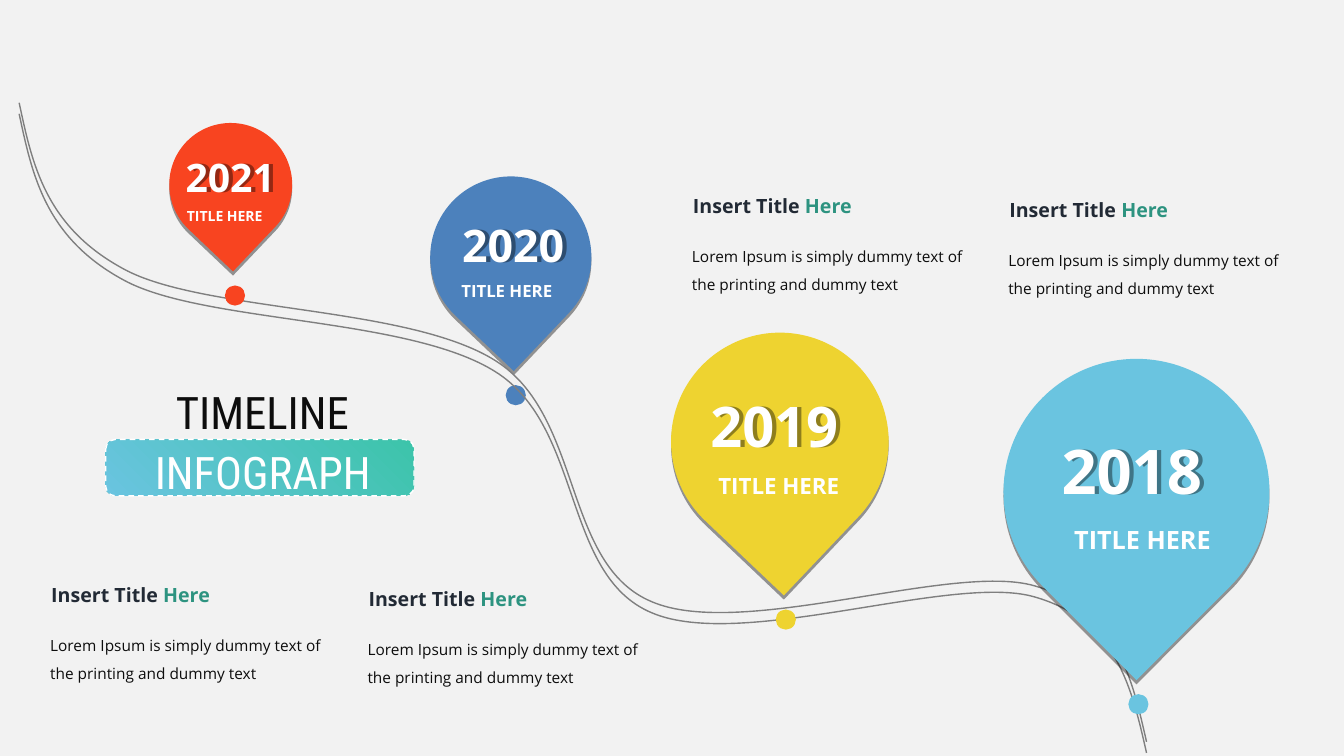
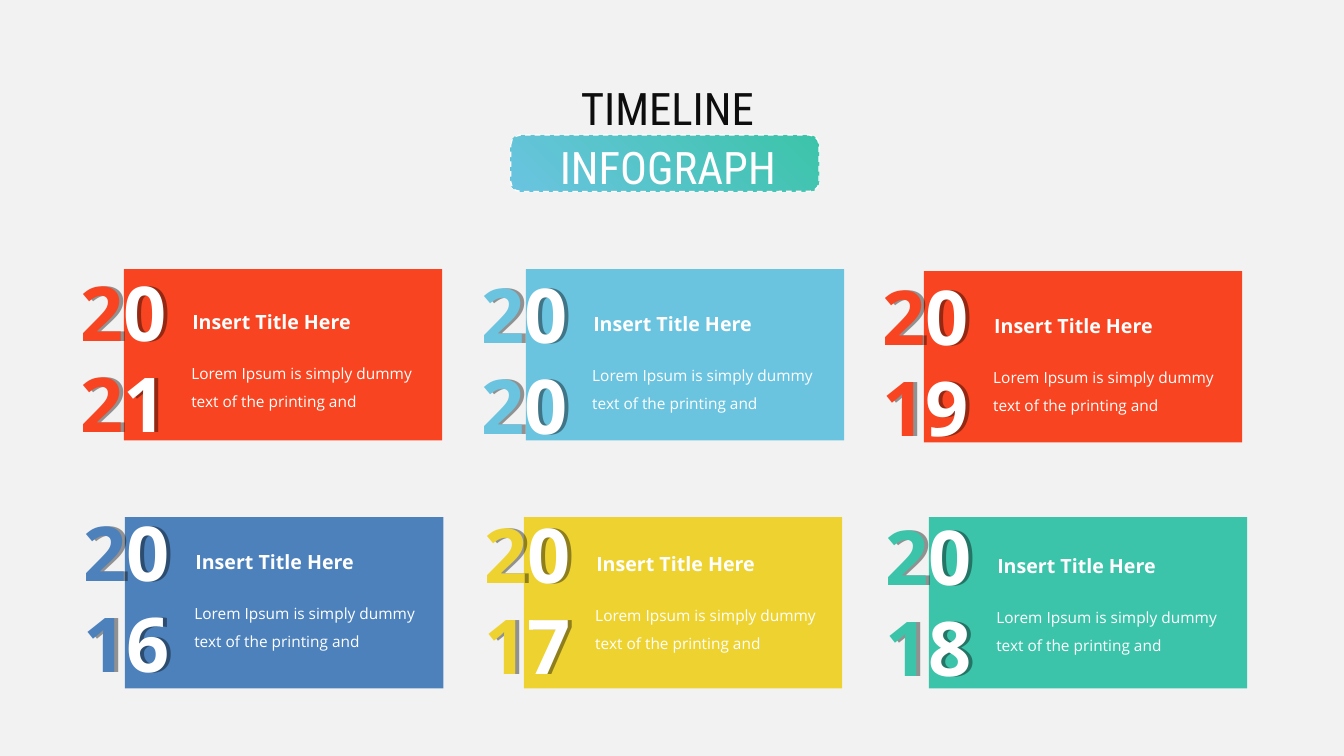
from dataclasses import dataclass
from math import cos, radians, sin, sqrt

from lxml import etree
from pptx import Presentation
from pptx.dml.color import RGBColor
from pptx.enum.dml import MSO_LINE
from pptx.enum.shapes import MSO_SHAPE
from pptx.enum.text import MSO_AUTO_SIZE, PP_ALIGN
from pptx.oxml.ns import qn
from pptx.shapes.autoshape import Shape
from pptx.slide import Slide
from pptx.util import Inches, Pt

CENTER = PP_ALIGN.CENTER
LEFT = PP_ALIGN.LEFT
FIT_SHAPE = MSO_AUTO_SIZE.SHAPE_TO_FIT_TEXT
DASH = MSO_LINE.DASH
OVAL = MSO_SHAPE.OVAL
ROUNDED = MSO_SHAPE.ROUNDED_RECTANGLE
TEARDROP = MSO_SHAPE.TEAR

Point = tuple[float, float]
Box = tuple[float, float, float, float]
Runs = list[tuple[str, str]]


@dataclass(frozen=True)
class Theme:
    background: str = "F2F2F2"
    white: str = "FFFFFF"
    ink: str = "0D0D0D"
    heading: str = "222A35"
    accent: str = "2D9380"
    road: str = "7F7F7F"
    shadow: str = "000000"
    red: str = "F84420"
    blue: str = "4C81BC"
    yellow: str = "EED330"
    sky: str = "6AC4E0"
    green: str = "3CC4AA"
    body_font: str = "Open Sans"
    title_font: str = "Roboto Condensed"
    title_size: int = 32
    heading_size: int = 14
    body_size: int = 11
    card_year_size: int = 54


THEME = Theme()


@dataclass(frozen=True)
class Pin:
    year: str
    color: str
    center: Point
    radius: float
    rotation: float
    year_at: Point
    year_size: int
    label_box: Box
    label_size: int


@dataclass(frozen=True)
class Card:
    year: str
    color: str
    column: int
    row: int
    block_at: Point


BLUE_PIN = Pin("2020", THEME.blue, (5.07, 2.55), 0.8, 133.5,
               (4.17, 2.11), 32, (4.32, 2.64, 1.42, 0.4), 12)
FRONT_PINS = [
    Pin("2019", THEME.yellow, (7.74, 4.38), 1.08, 133.5,
        (6.76, 3.83), 40, (7.02, 4.5, 1.42, 0.5), 16),
    Pin("2021", THEME.red, (2.29, 1.83), 0.61, 133.5,
        (1.36, 1.47), 28, (1.52, 1.93, 1.42, 0.35), 10),
    Pin("2018", THEME.sky, (11.28, 4.88), 1.32, 135,
        (10.31, 4.25), 44, (10.48, 5, 1.72, 0.55), 18),
]
CAPTIONS: list[Point] = [(6.78, 1.87), (9.92, 1.91), (0.41, 5.73), (3.56, 5.77)]
ROAD_START: Point = (11.38, 7.36)
ROAD_CURVES: list[tuple[Point, Point, Point]] = [
    ((11.23, 6.7), (11.08, 6.04), (10.26, 5.81)),
    ((9.44, 5.58), (7.36, 6.35), (6.47, 5.97)),
    ((5.58, 5.6), (5.79, 4.13), (4.92, 3.58)),
    ((4.05, 3.03), (2.02, 3.1), (1.23, 2.67)),
    ((0.45, 2.25), (0.32, 1.63), (0.19, 1.02)),
]
ROAD_WIDTH = 0.11
CARDS = [
    Card("2021", THEME.red, 0, 0, (1.23, 2.67)),
    Card("2020", THEME.sky, 1, 0, (5.22, 2.67)),
    Card("2019", THEME.red, 2, 0, (9.17, 2.69)),
    Card("2016", THEME.blue, 0, 1, (1.24, 5.13)),
    Card("2017", THEME.yellow, 1, 1, (5.2, 5.13)),
    Card("2018", THEME.green, 2, 1, (9.22, 5.13)),
]


def rgb(color: str) -> RGBColor:
    return RGBColor.from_string(color)


def cast_shadow(shape: Shape, direction: int) -> None:
    shape.shadow.inherit = False
    effects = shape.element.spPr.find(qn("a:effectLst"))
    shadow = etree.SubElement(effects, qn("a:outerShdw"), blurRad="0",
                              dist=str(Pt(3)), dir=str(direction * 60000),
                              algn="ctr", rotWithShape="0")
    color = etree.SubElement(shadow, qn("a:srgbClr"), val=THEME.shadow)
    etree.SubElement(color, qn("a:alpha"), val="40000")


def add_block(slide: Slide, kind: MSO_SHAPE, box: Box, color: str) -> Shape:
    block = slide.shapes.add_shape(kind, *map(Inches, box))
    block.shadow.inherit = False
    block.fill.solid()
    block.fill.fore_color.rgb = rgb(color)
    block.line.fill.background()
    return block


def add_text(slide: Slide, box: Box, runs: Runs, *, size: int,
             font: str = THEME.body_font, bold: bool = False,
             align: PP_ALIGN = LEFT, spacing: float = 1.0,
             wrap: bool = True) -> Shape:
    holder = slide.shapes.add_textbox(*map(Inches, box))
    frame = holder.text_frame
    frame.word_wrap = wrap
    frame.auto_size = FIT_SHAPE
    paragraph = frame.paragraphs[0]
    paragraph.alignment = align
    paragraph.line_spacing = spacing
    for words, color in runs:
        run = paragraph.add_run()
        run.text = words
        run.font.name = font
        run.font.size = Pt(size)
        run.font.bold = bold
        run.font.color.rgb = rgb(color)
    return holder


def add_title(slide: Slide, left: float, top: float) -> None:
    band = add_block(slide, ROUNDED, (left, top, 3.06, 0.56), THEME.green)
    band.fill.gradient()
    band.fill.gradient_angle = 225
    for stop, color in zip(band.fill.gradient_stops, (THEME.green, THEME.sky)):
        stop.color.rgb = rgb(color)
    band.line.color.rgb = rgb(THEME.white)
    band.line.width = Pt(1)
    band.line.dash_style = DASH
    for words, color, box in (
        ("INFOGRAPH", THEME.white, (left + 0.06, top, 3, 0.63)),
        ("TIMELINE", THEME.ink, (left - 0.95, top - 0.59, 5.01, 0.63)),
    ):
        add_text(slide, box, [(words, color)], size=THEME.title_size,
                 font=THEME.title_font, align=CENTER)


def add_caption(slide: Slide, left: float, top: float, heading: Runs,
                body: str, body_color: str, width: float) -> None:
    add_text(slide, (left - 0.01, top + 0.44, width, 0.65),
             [(body, body_color)], size=THEME.body_size, spacing=1.5)
    add_text(slide, (left, top, 1.78, 0.34), heading,
             size=THEME.heading_size, bold=True, wrap=False)


def bend_segments(outline: Shape) -> None:
    corners = list(outline.element.iter(qn("a:lnTo")))
    for first in range(0, len(corners), 3):
        curve = etree.Element(qn("a:cubicBezTo"))
        corners[first].addprevious(curve)
        for corner in corners[first:first + 3]:
            curve.append(corner[0])
            corner.getparent().remove(corner)


def add_road(slide: Slide) -> None:
    road = slide.shapes.add_group_shape()
    controls = [ROAD_START, *(point for curve in ROAD_CURVES for point in curve)]
    for drop in (0, ROAD_WIDTH):
        points = [(Inches(x), Inches(y + drop)) for x, y in controls]
        builder = road.shapes.build_freeform(*points[0])
        builder.add_line_segments(points[1:], close=False)
        edge = builder.convert_to_shape()
        bend_segments(edge)
        edge.shadow.inherit = False
        edge.fill.background()
        edge.line.color.rgb = rgb(THEME.road)
        edge.line.width = Pt(1)


def add_pin(slide: Slide, pin: Pin) -> None:
    x, y = pin.center
    side = 2 * pin.radius
    marker = add_block(slide, TEARDROP,
                       (x - pin.radius, y - pin.radius, side, side), pin.color)
    marker.rotation = pin.rotation
    cast_shadow(marker, 90)
    angle = radians(pin.rotation - 45)
    reach = pin.radius * sqrt(2)
    tip_x, tip_y = x + reach * cos(angle), y + reach * sin(angle)
    add_block(slide, OVAL, (tip_x - 0.08, tip_y + 0.14, 0.2, 0.2), pin.color)


def add_pin_text(slide: Slide, pin: Pin) -> None:
    add_text(slide, pin.label_box, [("TITLE HERE", THEME.white)],
             size=pin.label_size, bold=True, align=CENTER, spacing=1.5)
    year = add_text(slide, (*pin.year_at, 1.85, pin.year_size / 60 + 0.1),
                    [(pin.year, THEME.white)], size=pin.year_size, bold=True,
                    align=CENTER)
    cast_shadow(year, 0)


def add_card_block(slide: Slide, card: Card) -> None:
    block = add_block(slide, ROUNDED, (*card.block_at, 3.16, 1.7), card.color)
    block.adjustments[0] = 0


def add_card_text(slide: Slide, card: Card) -> None:
    left = 0.7 + 3.98 * card.column + 0.03 * card.row
    top = 2.59 + 0.02 * card.column + 2.38 * card.row
    digits = list(zip(card.year, (card.color, THEME.white) * 2))
    year = add_text(slide, (left, top, 1.09, 1.9), digits,
                    size=THEME.card_year_size, bold=True)
    cast_shadow(year, 0)
    add_caption(slide, left + 1.11, top + 0.44,
                [("Insert Title Here", THEME.white)],
                "Lorem Ipsum is simply dummy text of the printing and",
                THEME.white, 2.59)


def build_road_slide(slide: Slide) -> None:
    add_pin(slide, BLUE_PIN)
    add_road(slide)
    for pin in FRONT_PINS:
        add_pin(slide, pin)
    for left, top in CAPTIONS:
        add_caption(slide, left, top,
                    [("Insert Title ", THEME.heading), ("Here", THEME.accent)],
                    "Lorem Ipsum is simply dummy text of the printing and dummy text",
                    THEME.ink, 3.06)
    add_title(slide, 1.05, 4.36)
    for pin in (BLUE_PIN, *FRONT_PINS):
        add_pin_text(slide, pin)


def build_card_slide(slide: Slide) -> None:
    for draw in (add_card_block, add_card_text):
        for card in CARDS:
            draw(slide, card)
    add_title(slide, 5.07, 1.34)


def main() -> None:
    deck = Presentation()
    deck.slide_width = Inches(13.34)
    deck.slide_height = Inches(7.5)
    backdrop = deck.slide_master.background.fill
    backdrop.solid()
    backdrop.fore_color.rgb = rgb(THEME.background)
    blank = deck.slide_layouts[6]
    for build in (build_road_slide, build_card_slide):
        build(deck.slides.add_slide(blank))
    deck.save("out.pptx")


if __name__ == "__main__":
    main()
